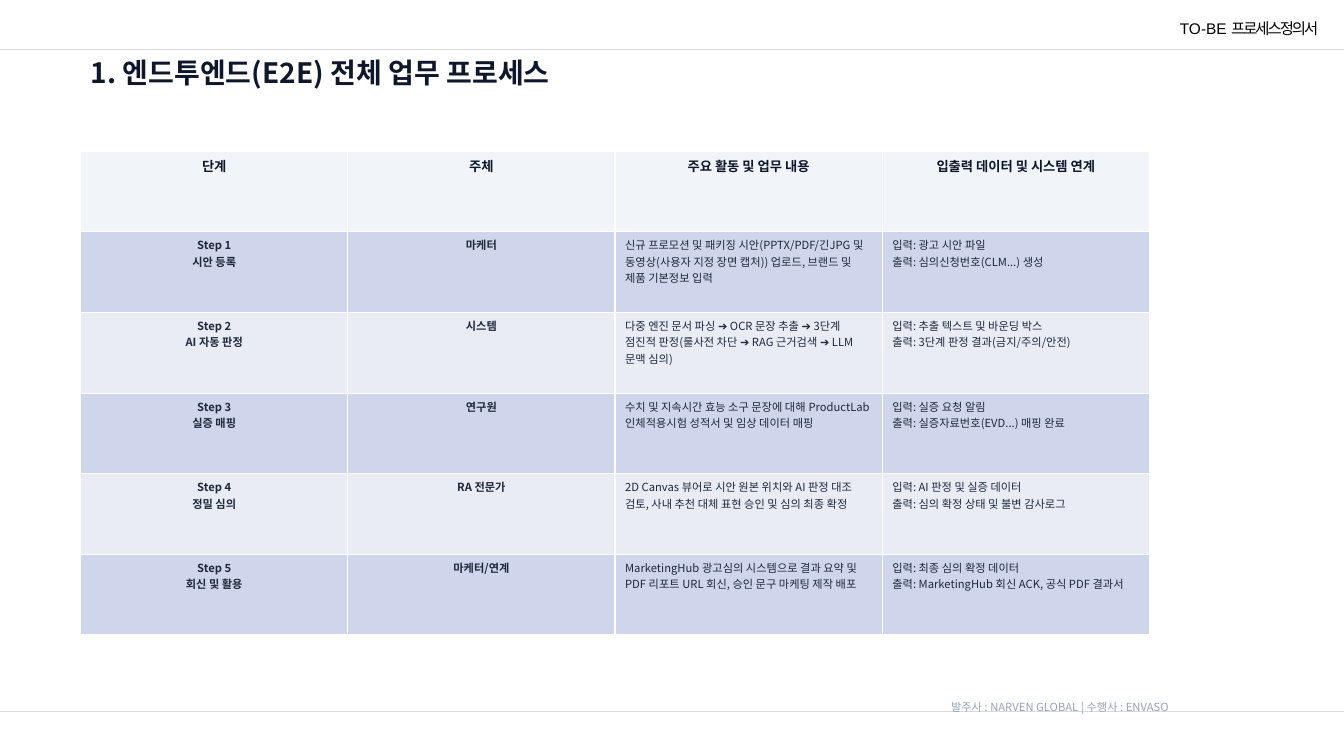
from typing import NamedTuple

from lxml import etree
from pptx import Presentation
from pptx.dml.color import RGBColor
from pptx.enum.shapes import MSO_CONNECTOR
from pptx.enum.text import MSO_ANCHOR, MSO_AUTO_SIZE, PP_ALIGN
from pptx.oxml.ns import qn
from pptx.util import Inches, Pt

LEFT_ALIGN, CENTER, RIGHT = PP_ALIGN.LEFT, PP_ALIGN.CENTER, PP_ALIGN.RIGHT
TOP_ANCHOR = MSO_ANCHOR.TOP
FIT_SHAPE = MSO_AUTO_SIZE.SHAPE_TO_FIT_TEXT
STRAIGHT = MSO_CONNECTOR.STRAIGHT

SANS, ARIAL = "Noto Sans CJK KR", "Arial"
COLORS = {
    "title": "0F172A", "body": "1E293B", "footer": "94A3B8", "black": "000000",
    "rule": "D9D9D9", "head": "F1F5F9", "odd": "CFD5EA", "even": "E9EBF5",
}

# Grid: the table's columns and rows, counted from its top left corner
SLIDE_W, SLIDE_H = 13.33, 7.5
LEFT, TOP, COL, ROW = 0.8, 1.5, 2.65, 0.8


class Area(NamedTuple):
    col: float
    row: float
    cols: float
    rows: float


class Step(NamedTuple):
    stage: str
    actor: str
    activity: str
    data: str


TITLE_AREA = Area(0, -1.25, 3.96, 1)
HEADER_AREA = Area(4.06, -1.7, 0.61, 0.36)
FOOTER_AREA = Area(2.91, 6.75, 1.2, 0.5)
RULE_ROWS = (-1.26, 6.95)

HEADINGS = Step("단계", "주체", "주요 활동 및 업무 내용", "입출력 데이터 및 시스템 연계")
STEPS = [
    Step("Step 1\n시안 등록", "마케터",
         "신규 프로모션 및 패키징 시안(PPTX/PDF/긴JPG 및 동영상(사용자 지정 장면 캡처)) 업로드, "
         "브랜드 및 제품 기본정보 입력",
         "입력: 광고 시안 파일\n출력: 심의신청번호(CLM...) 생성"),
    Step("Step 2\nAI 자동 판정", "시스템",
         "다중 엔진 문서 파싱 ➔ OCR 문장 추출 ➔ 3단계 점진적 판정"
         "(룰사전 차단 ➔ RAG 근거검색 ➔ LLM 문맥 심의)",
         "입력: 추출 텍스트 및 바운딩 박스\n출력: 3단계 판정 결과(금지/주의/안전)"),
    Step("Step 3\n실증 매핑", "연구원",
         "수치 및 지속시간 효능 소구 문장에 대해 ProductLab 인체적용시험 성적서 및 임상 데이터 매핑",
         "입력: 실증 요청 알림\n출력: 실증자료번호(EVD...) 매핑 완료"),
    Step("Step 4\n정밀 심의", "RA 전문가",
         "2D Canvas 뷰어로 시안 원본 위치와 AI 판정 대조 검토, "
         "사내 추천 대체 표현 승인 및 심의 최종 확정",
         "입력: AI 판정 및 실증 데이터\n출력: 심의 확정 상태 및 불변 감사로그"),
    Step("Step 5\n회신 및 활용", "마케터/연계",
         "MarketingHub 광고심의 시스템으로 결과 요약 및 PDF 리포트 URL 회신, "
         "승인 문구 마케팅 제작 배포",
         "입력: 최종 심의 확정 데이터\n출력: MarketingHub 회신 ACK, 공식 PDF 결과서"),
]


def rgb(name: str) -> RGBColor:
    return RGBColor.from_string(COLORS[name])


def box(area: Area) -> tuple:
    """Left, top, width and height of a grid area."""
    return (Inches(LEFT + area.col * COL), Inches(TOP + area.row * ROW),
            Inches(area.cols * COL), Inches(area.rows * ROW))


def write(p, text: str, *, size: float, color: str, font: str = SANS,
          bold: bool = False, align=LEFT_ALIGN, spacing: float = 0) -> None:
    """Add a formatted run to a paragraph; spacing is in points."""
    p.alignment = align
    r = p.add_run()
    r.text = text
    r.font.size, r.font.bold, r.font.name = Pt(size), bold, font
    r.font.color.rgb = rgb(color)
    rPr = r.font._element
    etree.SubElement(rPr, qn("a:ea")).set("typeface", font)
    if spacing:
        rPr.set("spc", str(round(spacing * 100)))


def fit(sp, area: Area):
    """Place a one-line text shape and return its paragraph."""
    sp.left, sp.top, sp.width, sp.height = box(area)
    tf = sp.text_frame
    tf.word_wrap, tf.auto_size = False, FIT_SHAPE
    tf.vertical_anchor = TOP_ANCHOR
    return tf.paragraphs[0]


def add_rule(s, row: float) -> None:
    y = Inches(TOP + row * ROW)
    line = s.shapes.add_connector(STRAIGHT, 0, y, Inches(SLIDE_W), y)
    line.line.color.rgb, line.line.width = rgb("rule"), Pt(0.5)
    etree.SubElement(line._element.spPr, qn("a:effectLst"))


def fill_row(cells, step: Step, fill: str, heading: bool) -> None:
    for i, (cell, text) in enumerate(zip(cells, step)):
        cell.fill.solid()
        cell.fill.fore_color.rgb = rgb(fill)
        strong = heading or i < 2
        tf = cell.text_frame
        for n, line in enumerate(text.split("\n")):
            p = tf.add_paragraph() if n else tf.paragraphs[0]
            write(p, line, size=9.5 if heading else 8,
                  color="title" if heading else "body",
                  bold=strong, align=CENTER if strong else LEFT_ALIGN)


def add_steps(s) -> None:
    area = Area(0, 0, len(HEADINGS), len(STEPS) + 1)
    table = s.shapes.add_table(area.rows, area.cols, *box(area)).table
    fill_row(table.rows[0].cells, HEADINGS, "head", True)
    for n, step in enumerate(STEPS, 1):
        fill_row(table.rows[n].cells, step, "odd" if n % 2 else "even", False)


def main() -> None:
    prs = Presentation()
    prs.slide_width, prs.slide_height = Inches(SLIDE_W), Inches(SLIDE_H)
    s = prs.slides.add_slide(prs.slide_layouts[5])

    p = fit(s.shapes.add_textbox(*box(HEADER_AREA)), HEADER_AREA)
    write(p, "TO-BE ", size=11, color="black", font=ARIAL, align=RIGHT)
    write(p, "프로세스정의서", size=11, color="black", font=ARIAL,
          align=RIGHT, spacing=-1.5)
    for row in RULE_ROWS:
        add_rule(s, row)

    write(fit(s.shapes.title, TITLE_AREA), "1. 엔드투엔드(E2E) 전체 업무 프로세스",
          size=20, color="title", bold=True)
    write(fit(s.shapes.add_textbox(*box(FOOTER_AREA)), FOOTER_AREA),
          "발주사 : NARVEN GLOBAL | 수행사 : ENVASO",
          size=8, color="footer", align=RIGHT)
    add_steps(s)
    prs.save("out.pptx")


if __name__ == "__main__":
    main()
